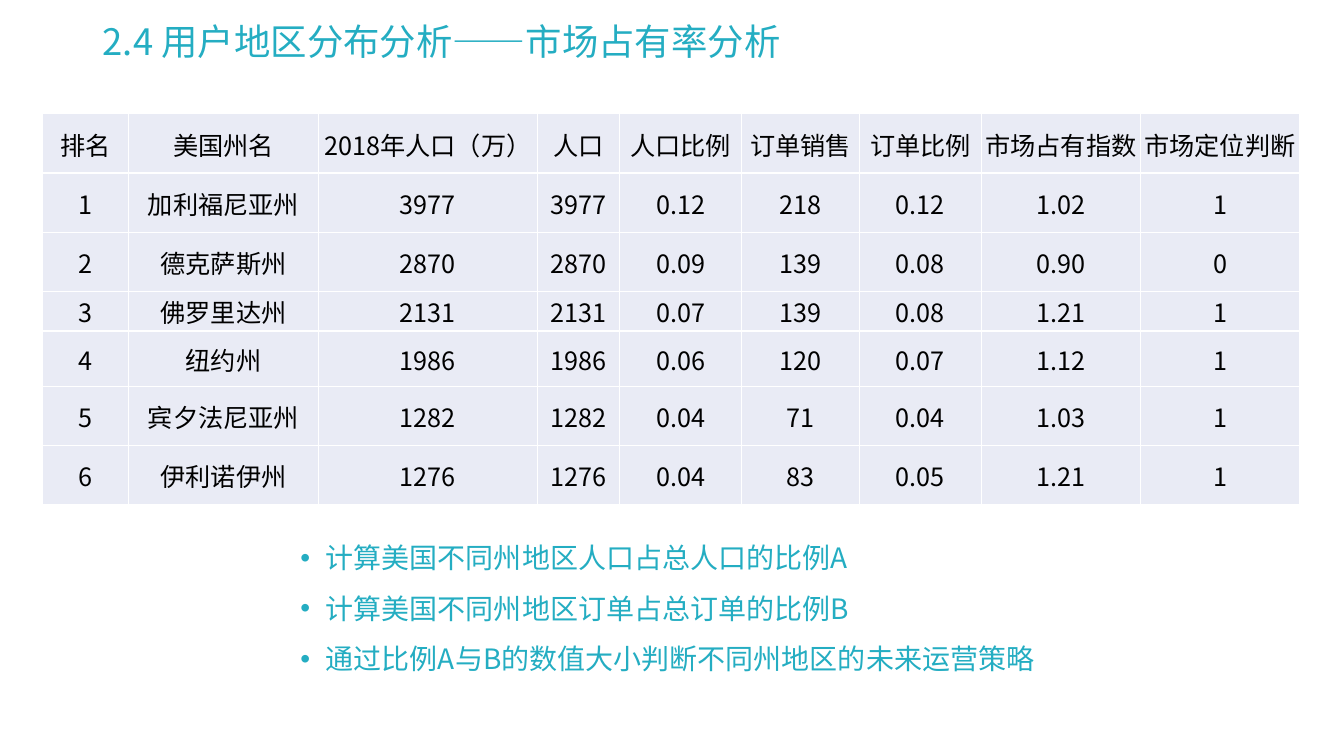
from dataclasses import dataclass
from typing import Any

from lxml import etree
from pptx import Presentation, util as u
from pptx.dml.color import RGBColor
from pptx.enum import text
from pptx.oxml import ns

COLORS = {"accent": "24ADC2", "cell": "E9EBF5", "border": "FFFFFF", "ink": "000000"}
FONT = "Noto Sans CJK SC"
COL_WIDTHS = [2.16, 4.8, 5.51, 2.08, 3.07, 2.97, 3.07, 4.01, 4.01]
ROW_HEIGHTS = [1.49, 1.49, 1.49, 1, 1.4, 1.49, 1.49]
HEADERS = ["排名", "美国州名", "2018年人口（万）", "人口", "人口比例", "订单销售",
           "订单比例", "市场占有指数", "市场定位判断"]


@dataclass
class State:
    name: str
    population: int
    population_share: float
    orders: int
    order_share: float
    index: float
    verdict: int

    def cells(self, rank: int) -> list[str]:
        return [str(rank), self.name, str(self.population), str(self.population),
                f"{self.population_share:.2f}", str(self.orders),
                f"{self.order_share:.2f}", f"{self.index:.2f}", str(self.verdict)]


@dataclass
class TextBlock:
    box: tuple[float, float, float, float]
    lines: list[str]
    size: int
    spacing: float
    anchor: text.MSO_ANCHOR
    bulleted: bool = False


STATES = [
    State("加利福尼亚州", 3977, 0.12, 218, 0.12, 1.02, 1),
    State("德克萨斯州", 2870, 0.09, 139, 0.08, 0.90, 0),
    State("佛罗里达州", 2131, 0.07, 139, 0.08, 1.21, 1),
    State("纽约州", 1986, 0.06, 120, 0.07, 1.12, 1),
    State("宾夕法尼亚州", 1282, 0.04, 71, 0.04, 1.03, 1),
    State("伊利诺伊州", 1276, 0.04, 83, 0.05, 1.21, 1),
]
BLOCKS = [
    TextBlock((2.34, 0.66, 29.21, 0.89), ["2.4 用户地区分布分析——市场占有率分析"],
              26, 0.9, text.MSO_ANCHOR.MIDDLE),
    TextBlock((7.32, 13.08, 19.2, 4.37),
              ["计算美国不同州地区人口占总人口的比例A",
               "计算美国不同州地区订单占总订单的比例B",
               "通过比例A与B的数值大小判断不同州地区的未来运营策略"],
              20, 1.5, text.MSO_ANCHOR.TOP, True),
]


def apply(target: Any, formats: dict[str, Any]) -> None:
    for name, value in formats.items():
        setattr(target, name, value)


def add_run(p: Any, content: str, size: int, color: str) -> None:
    r = p.add_run()
    r.text = content
    apply(r.font, {"name": FONT, "size": u.Pt(size)})
    r.font.color.rgb = RGBColor.from_string(COLORS[color])
    etree.SubElement(r.font._element, ns.qn("a:ea"), typeface=FONT)


def add_bullet(p: Any) -> None:
    ppr = p._p.get_or_add_pPr()
    ppr.set("marL", str(u.Cm(0.64)))
    ppr.set("indent", str(-u.Cm(0.64)))
    etree.SubElement(ppr, ns.qn("a:buFont"), typeface="Arial")
    etree.SubElement(ppr, ns.qn("a:buChar"), char="•")


def add_block(s: Any, block: TextBlock) -> None:
    tf = s.shapes.add_textbox(*map(u.Cm, block.box)).text_frame
    apply(tf, {"word_wrap": True, "vertical_anchor": block.anchor})
    for i, line in enumerate(block.lines):
        p = tf.add_paragraph() if i else tf.paragraphs[0]
        if block.bulleted:
            add_bullet(p)
        p.line_spacing = block.spacing
        add_run(p, line, block.size, "accent")


def fill_cell(cell: Any, content: str) -> None:
    apply(cell, {"margin_left": u.Cm(0.03), "margin_right": u.Cm(0.03),
                 "margin_top": u.Cm(0.03), "margin_bottom": 0,
                 "vertical_anchor": text.MSO_ANCHOR.MIDDLE})
    tcpr = cell._tc.get_or_add_tcPr()
    for side in ("lnL", "lnR", "lnT", "lnB"):
        ln = etree.SubElement(tcpr, ns.qn(f"a:{side}"), w=str(u.Pt(1)))
        solid = etree.SubElement(ln, ns.qn("a:solidFill"))
        etree.SubElement(solid, ns.qn("a:srgbClr"), val=COLORS["border"])
    cell.fill.solid()
    cell.fill.fore_color.rgb = RGBColor.from_string(COLORS["cell"])
    p = cell.text_frame.paragraphs[0]
    p.alignment = text.PP_ALIGN.CENTER
    add_run(p, content, 18, "ink")


def add_market_table(s: Any) -> None:
    rows = [HEADERS] + [state.cells(rank) for rank, state in enumerate(STATES, 1)]
    box = (1.07, 2.87, sum(COL_WIDTHS), sum(ROW_HEIGHTS))
    table = s.shapes.add_table(len(rows), len(HEADERS), *map(u.Cm, box)).table
    apply(table, {"first_row": False, "horz_banding": False})
    for col, width in zip(table.columns, COL_WIDTHS):
        col.width = u.Cm(width)
    for row, height, contents in zip(table.rows, ROW_HEIGHTS, rows):
        row.height = u.Cm(height)
        for cell, content in zip(row.cells, contents):
            fill_cell(cell, content)


def main() -> None:
    """Build the market share slide and save it."""
    prs = Presentation()
    apply(prs, {"slide_width": u.Cm(33.87), "slide_height": u.Cm(19.05)})
    s = prs.slides.add_slide(prs.slide_layouts[6])
    for block in BLOCKS:
        add_block(s, block)
    add_market_table(s)
    prs.save("out.pptx")


if __name__ == "__main__":
    main()
